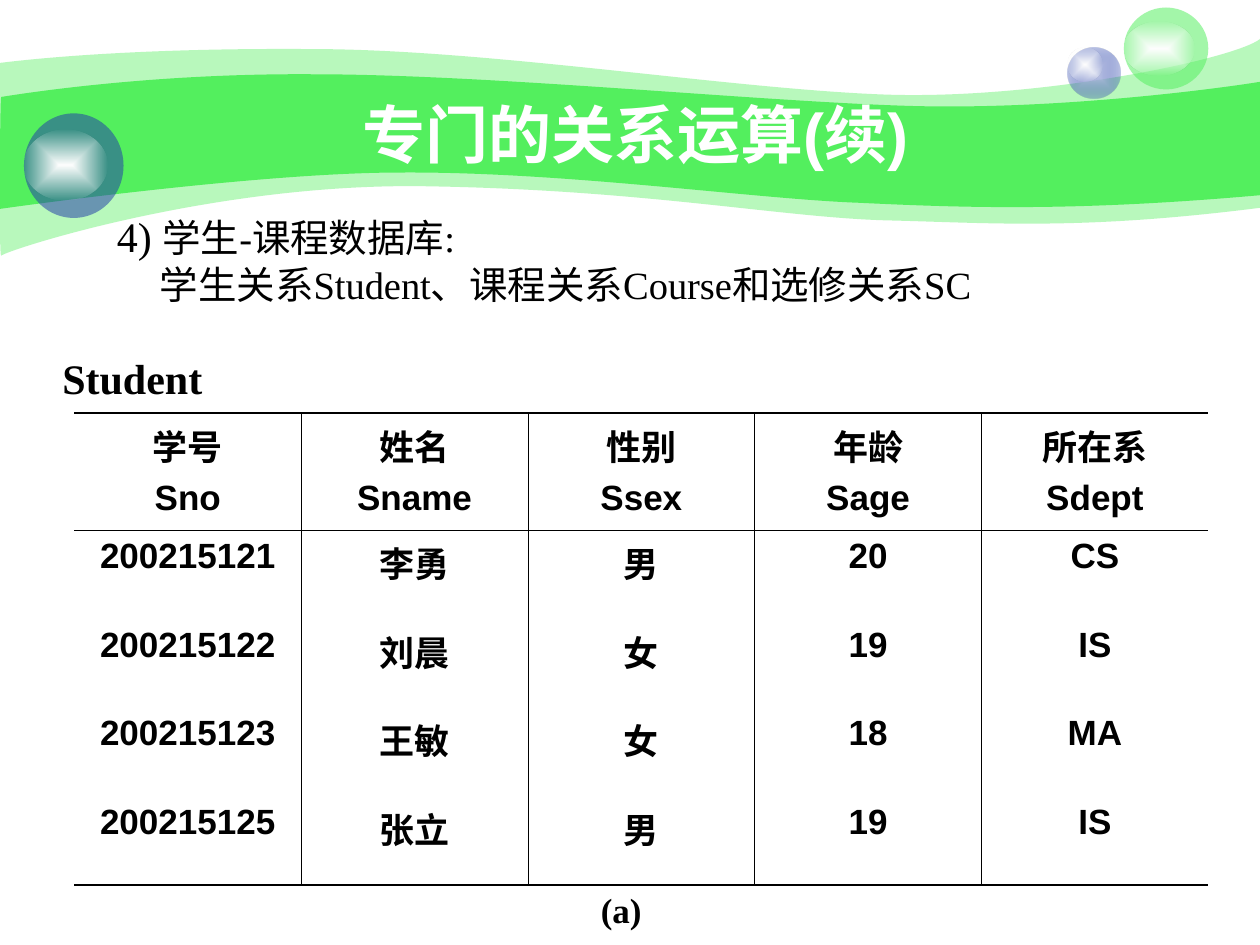
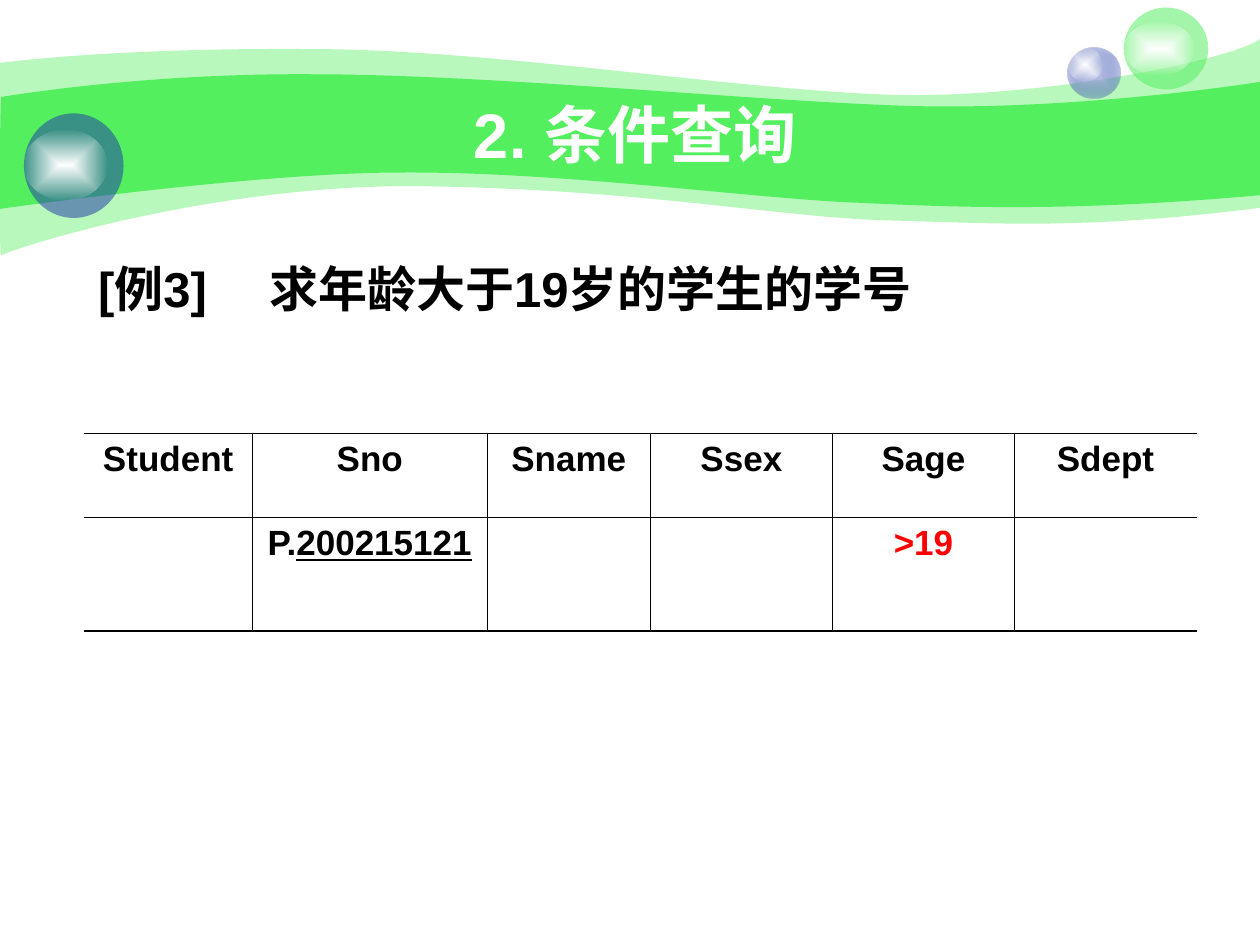
from pptx import Presentation, util as u
from pptx.dml.color import RGBColor
from pptx.enum import shapes, text
from pptx.oxml import parse_xml
from pptx.oxml.ns import nsdecls, qn

GREEN = RGBColor(0x53, 0xEF, 0x5E)
BLUE = RGBColor(0x23, 0x3D, 0xA9)
PALE_BLUE = RGBColor(0xC7, 0xCE, 0xE9)
WHITE = RGBColor(0xFF, 0xFF, 0xFF)
BLACK = RGBColor(0x00, 0x00, 0x00)
RED = RGBColor(0xFF, 0x00, 0x00)

SANS, SERIF = "Arial", "Times New Roman"
WIDTH, HEIGHT = u.Inches(10), u.Inches(7.5)
CELL = WIDTH / 100  # the slide is a grid of 100 columns by 75 rows
THICK, THIN = 1.2, 0.45

HEADER_BOX = (0, 0, 100, 21)
TITLE_BOX = (10, 7.5, 80.8, 6.2)

# Each wave: start point, then segments of three Bezier points or one line point
PALE_WAVE = [
    (0, 5), [(2.4, 4.7), (10.7, 3.8), (24.7, 3.9)], [(38.6, 3.9), (57.5, 7), (69.9, 7.5)],
    [(82.2, 8), (98, 4.7), (100, 3.1)], [(100, 16.5)],
    [(85.8, 18.3), (78.7, 17.7), (70.5, 17.5)], [(62.2, 17.3), (51.5, 15.1), (34.3, 14.8)],
    [(17.2, 14.4), (0.4, 19.9), (0.1, 20.3)], [(-0.1, 20.8), (0, 7.5), (0, 5)]]
GREEN_WAVE = [
    (0.1, 7.7), [(0.2, 7.7), (11, 5.8), (24.8, 5.9)], [(38.6, 5.9), (59.5, 8), (71.8, 8.4)],
    [(84.1, 8.8), (97.6, 6.9), (100, 6.5)], [(100, 15.5)],
    [(85.3, 16.8), (76.5, 16.5), (68.2, 16.1)], [(59.9, 15.8), (44.7, 13.6), (31.7, 13.7)],
    [(20.3, 13.7), (-0.2, 16.6), (-0.1, 16.6)], [(0, 16.6), (0, 7.7), (0.1, 7.7)]]

GLOW = [(WHITE, 100), (WHITE, 0)]
ORBS = [  # ball box and colours, box of the glow on it
    ((84.7, 3.8, 4.2, 4), [(PALE_BLUE, 100), (BLUE, 31)], (84.7, 3.8, 2.8, 2.7)),
    ((89.2, 0.6, 6.7, 6.5), [(GREEN, 53)], (89.2, 1.7, 5.6, 4.3)),
    ((1.9, 9, 7.9, 8.3), [(BLUE, 53)], (1.9, 10.3, 6.6, 5.6))]

STUDENTS = [
    ["学号\nSno", "姓名\nSname", "性别\nSsex", "年龄\nSage", "所在系\nSdept"],
    ["200215121", "李勇", "男", "20", "CS"],
    ["200215122", "刘晨", "女", "19", "IS"],
    ["200215123", "王敏", "女", "18", "MA"],
    ["200215125", "张立", "男", "19", "IS"]]
QUERY = [["Student", "Sno", "Sname", "Ssex", "Sage", "Sdept"],
         ["", "P.", "", "", ">19", ""]]


def grid(*lengths):
    return [round(length * CELL) for length in lengths]


def style(paragraph, size, face, bold=False, color=BLACK, align=text.PP_ALIGN.LEFT):
    paragraph.alignment = align
    font = paragraph.font
    font.size, font.name, font.bold = u.Pt(size), face, bold
    font.color.rgb = color


def paint(shape, stops):
    """Fill with one colour, or a centred gradient; each stop has an opacity in percent."""
    colors = [f'<a:srgbClr val="{color}"><a:alpha val="{opacity * 1000}"/></a:srgbClr>'
              for color, opacity in stops]
    if len(stops) == 1:
        xml = f'<a:solidFill {nsdecls("a")}>{colors[0]}</a:solidFill>'
    else:
        xml = (f'<a:gradFill {nsdecls("a")} rotWithShape="1"><a:gsLst>'
               f'<a:gs pos="0">{colors[0]}</a:gs><a:gs pos="100000">{colors[1]}</a:gs></a:gsLst>'
               '<a:path path="rect"><a:fillToRect l="50000" t="50000" r="50000" b="50000"/>'
               '</a:path></a:gradFill>')
    shape.shadow.inherit = False
    shape.line.fill.background()
    shape.fill.background()
    properties = shape.element.spPr
    properties.replace(properties.find(qn("a:noFill")), parse_xml(xml))


def add_wave(slide, left, top, outline):
    """Build the outline through all its points, then join triples into Bezier curves."""
    start, *segments = outline
    builder = slide.shapes.build_freeform(*grid(left + start[0], top + start[1]))
    builder.add_line_segments([grid(left + x, top + y) for segment in segments
                               for x, y in segment], close=True)
    wave = builder.convert_to_shape()
    lines = iter(list(wave.element.iter(qn("a:lnTo"))))
    for segment in segments:
        first, *others = [next(lines) for _ in segment]
        if others:
            curve = parse_xml(f'<a:cubicBezTo {nsdecls("a")}/>')
            first.addprevious(curve)
            for line in (first, *others):
                curve.append(line[0])
                line.getparent().remove(line)
    return wave


def draw_header(slide, box):
    """Waves and orbs, placed from the corner of the box."""
    left, top = box[:2]
    parts = []
    for outline, opacity in ((PALE_WAVE, 41), (GREEN_WAVE, 100)):
        wave = add_wave(slide, left, top, outline)
        paint(wave, [(GREEN, opacity)])
        parts.append(wave)
    for ball_box, colors, glow_box in ORBS:
        for (x, y, width, height), stops in ((ball_box, colors), (glow_box, GLOW)):
            orb = slide.shapes.add_shape(shapes.MSO_SHAPE.OVAL,
                                         *grid(left + x, top + y, width, height))
            paint(orb, stops)
            parts.append(orb)
    return parts


def share_header(slide):
    """Move the header to the layout, so that every slide shows it."""
    for number, part in enumerate(draw_header(slide, HEADER_BOX), 101):
        part.element.nvSpPr.cNvPr.set("id", str(number))
        slide.slide_layout.shapes.element.append(part.element)


def set_title(slide, wording):
    title = slide.shapes.title
    title.left, title.top, title.width, title.height = grid(*TITLE_BOX)
    frame = title.text_frame
    frame.text = wording
    frame.auto_size = text.MSO_AUTO_SIZE.NONE
    frame.vertical_anchor = text.MSO_ANCHOR.MIDDLE
    style(frame.paragraphs[0], 36, SANS, True, WHITE, text.PP_ALIGN.CENTER)


def add_text(slide, box, wording, size, face, bold=False, align=text.PP_ALIGN.LEFT):
    frame = slide.shapes.add_textbox(*grid(*box)).text_frame
    frame.word_wrap = True
    frame.auto_size = text.MSO_AUTO_SIZE.NONE
    frame.text = wording
    for paragraph in frame.paragraphs:
        style(paragraph, size, face, bold, align=align)
    return frame


def set_borders(cell, widths):
    """Widths in points for left, right, top and bottom; 0 hides the line."""
    properties = cell._tc.get_or_add_tcPr()
    for place, (side, width) in enumerate(zip("LRTB", widths)):
        paint_xml = (f'<a:solidFill><a:srgbClr val="{BLACK}"/></a:solidFill>' if width
                     else "<a:noFill/>")
        properties.insert(place, parse_xml(
            f'<a:ln{side} {nsdecls("a")} w="{u.Pt(width)}">{paint_xml}</a:ln{side}>'))


def add_ruled_table(slide, box, rows, column_widths, row_heights):
    """Open-sided table: thick rules above and below, thin ones inside."""
    last_row, last_column = len(rows) - 1, len(rows[0]) - 1
    table = slide.shapes.add_table(len(rows), len(rows[0]), *grid(*box)).table
    table.first_row = table.horz_banding = False
    for column, width in zip(table.columns, grid(*column_widths)):
        column.width = width
    for row, height in zip(table.rows, grid(*row_heights)):
        row.height = height
    for r, values in enumerate(rows):
        for c, value in enumerate(values):
            cell = table.cell(r, c)
            cell.fill.background()
            set_borders(cell, (THIN if c else 0, THIN if c < last_column else 0,
                               (THICK, THIN)[r] if r < 2 else 0,
                               THIN if r == 0 else THICK if r == last_row else 0))
            cell.text = value
            for index, paragraph in enumerate(cell.text_frame.paragraphs):
                style(paragraph, 20, SANS, True, align=text.PP_ALIGN.CENTER)
                if index:
                    paragraph.space_before = u.Pt(5)
    return table


def build_relation_slide(slide):
    set_title(slide, "专门的关系运算(续)")
    # Table caption and name
    add_text(slide, (11.4, 70, 75.8, 4.4), "(a)", 20, SERIF, True, text.PP_ALIGN.CENTER)
    name = add_text(slide, (3.5, 26.6, 14, 6.7), "Student", 24, SERIF, True,
                    text.PP_ALIGN.CENTER)
    name.vertical_anchor = text.MSO_ANCHOR.MIDDLE
    # Introduction
    intro = add_text(slide, (8.3, 16.2, 81.9, 8.7),
                     "4) \n学生关系Student、课程关系Course和选修关系SC", 22, SERIF)
    heading, relations = intro.paragraphs
    heading.runs[0].font.size = u.Pt(24)
    heading.add_run().text = "学生-课程数据库:"
    relations._p.get_or_add_pPr().set("marL", str(u.Inches(0.34)))
    # Student relation
    add_ruled_table(slide, (5.9, 32.8, 90, 37.5), STUDENTS, [18] * 5, [9.3] + [7.04] * 4)


def build_query_slide(slide):
    set_title(slide, "2. 条件查询")
    # Example, with a tab stop after its number
    example = add_text(slide, (5, 20, 86.7, 13.6), "[例3]\t求年龄大于19岁的学生的学号",
                       28, SANS, True)
    example.margin_left = u.Inches(0.28)
    properties = example.paragraphs[0]._p.get_or_add_pPr()
    properties.insert(0, parse_xml(
        f'<a:tabLst {nsdecls("a")}><a:tab pos="{u.Inches(1.36)}" algn="l"/></a:tabLst>'))
    # Query form
    form = add_ruled_table(slide, (6.7, 34.4, 88.3, 15.7), QUERY,
                           [13.3, 18.7, 12.9, 14.5, 14.4, 14.5], [6.7, 9])
    sample = form.cell(1, 1).text_frame.paragraphs[0].add_run()
    sample.text = "200215121"
    sample.font.underline = True
    form.cell(1, 4).text_frame.paragraphs[0].font.color.rgb = RED


def main():
    deck = Presentation()
    deck.slide_width, deck.slide_height = WIDTH, HEIGHT
    title_only = deck.slide_layouts[5]
    relation, query = (deck.slides.add_slide(title_only) for _ in range(2))
    share_header(relation)
    build_relation_slide(relation)
    build_query_slide(query)
    deck.save("out.pptx")


if __name__ == "__main__":
    main()
